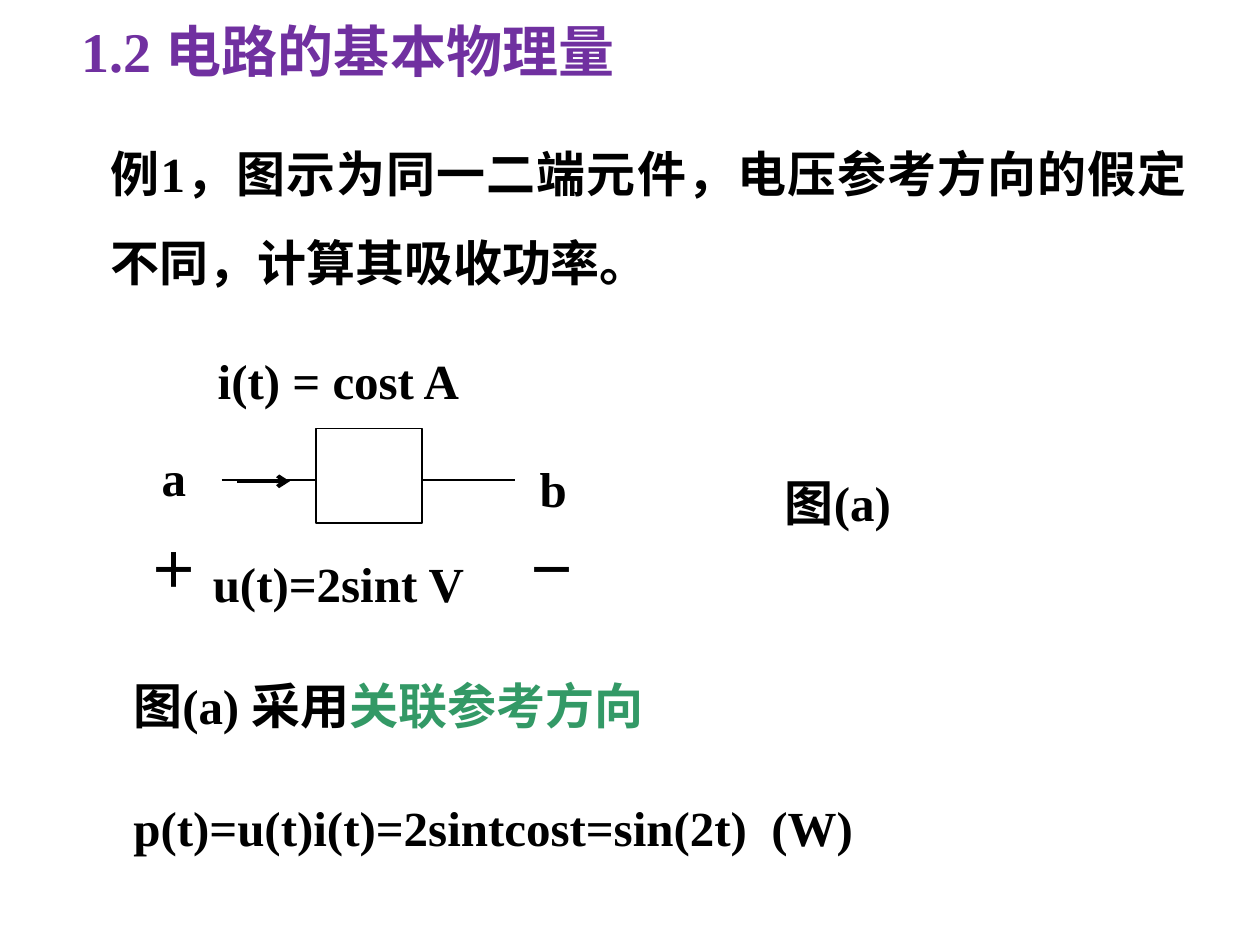
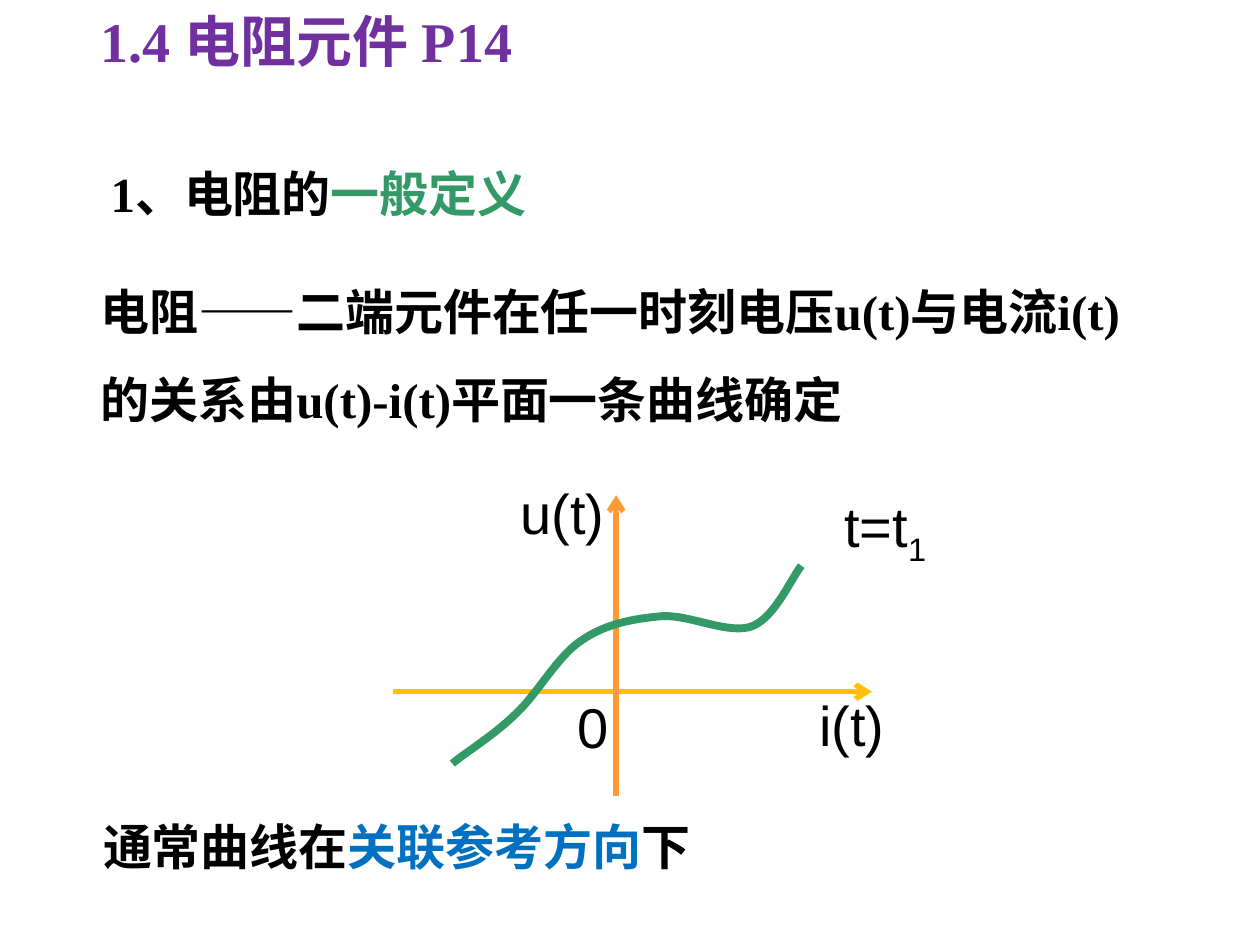
from lxml import etree
from pptx import Presentation
from pptx.dml.color import RGBColor
from pptx.enum.lang import MSO_LANGUAGE_ID
from pptx.enum.shapes import MSO_CONNECTOR, MSO_SHAPE
from pptx.enum.text import MSO_ANCHOR, MSO_AUTO_SIZE, PP_ALIGN
from pptx.oxml.ns import qn
from pptx.util import Inches, Pt

STRAIGHT = MSO_CONNECTOR.STRAIGHT
RECTANGLE = MSO_SHAPE.RECTANGLE
MIDDLE, TOP = MSO_ANCHOR.MIDDLE, MSO_ANCHOR.TOP
LEFT, CENTER, JUSTIFY = PP_ALIGN.LEFT, PP_ALIGN.CENTER, PP_ALIGN.JUSTIFY
CHINESE = MSO_LANGUAGE_ID.SIMPLIFIED_CHINESE
TITLE_ONLY = 5

COLORS = {
    "text": "000000", "title": "7030A0", "green": "339966", "blue": "0070C0",
    "current_axis": "FFC000", "voltage_axis": "FF9933",
}
SERIF, SANS = "Times New Roman", "Arial"
GRAPH_LABEL = {"size": 32, "font": SANS, "bold": False, "align": CENTER}
NO_INSETS = (0, 0)

# Text boxes: position (left, top, width, height), spans, format.
# A span is plain text or (text, {format that differs}).
EXAMPLE = {
    "title": ("1.2 电路的基本物理量", (0.55, -0.23, 7.49, 1.25)),
    "texts": [
        ((0.78, 0.86, 8.74, 1.43),
         ["例1，图示为同一二端元件，电压参考方向的假定不同，计算其吸收功率。"],
         {"align": JUSTIFY, "line_spacing": 1.5}),
        ((1.18, 3.5, 0.4, 0.57), ["a"], {"align": CENTER}),
        ((4.18, 3.59, 0.42, 0.57), ["b"], {"align": CENTER}),
        ((1.63, 2.73, 3, 0.57), ["i(t) = cost A"], {}),
        ((1.59, 4.34, 2.31, 0.57), ["u(t)=2sint V"], {}),
        ((1.09, 4.23, 0.75, 0.57), ["＋"], {}),
        ((4.09, 4.23, 0.75, 0.57), ["－"], {}),
        ((5.65, 3.75, 2, 0.47), ["图(a)"],
         {"align": CENTER, "insets": NO_INSETS}),
        ((0.96, 5.31, 6.85, 0.57),
         ["图(a) 采用", ("关联参考方向", {"color": "green"})], {}),
        ((0.96, 6.28, 6.85, 0.57),
         ["p(t)=u(t)i(t)=2sintcost=sin(2t)  (W)"], {}),
    ],
}
RESISTOR = {
    "title": ("1.4 电阻元件 P14", (0.7, -0.31, 5.98, 1.25)),
    "texts": [
        ((0.78, 1.25, 5.35, 0.57),
         ["1、电阻的", ("一般定义", {"color": "green"})], {}),
        ((0.7, 1.95, 8.51, 1.43),
         ["电阻——二端元件在任一时刻电压u(t)与电流i(t)的关系由"
          "u(t)-i(t)平面一条曲线确定"], {"line_spacing": 1.5}),
        ((0.72, 6.43, 6.5, 0.57),
         ["通常曲线在", ("关联参考方向", {"color": "blue"}), "下"], {}),
        ((3.98, 3.75, 0.97, 0.7), ["u(t)"], GRAPH_LABEL),
        ((4.44, 5.45, 0.53, 0.7), ["0"], GRAPH_LABEL),
        ((6.3, 5.43, 0.92, 0.7), ["i(t)"], GRAPH_LABEL),
        ((6.47, 3.9, 1.11, 0.59), ["t=t", ("1", {"baseline": -25000})],
         {**GRAPH_LABEL, "insets": NO_INSETS}),
    ],
}

ELEMENT_BOX = (2.51, 3.4, 0.84, 0.75)
WIRE_Y, WIRE_LEFT, WIRE_RIGHT = 3.81, 1.76, 4.09
CURRENT_ARROW = ((1.88, 3.82), (2.3, 3.82))
CURRENT_AXIS = ((3.12, 5.49), (6.92, 5.49))
VOLTAGE_AXIS = ((4.89, 6.32), (4.89, 3.93))
# Start point, then two control points and an end point for each segment.
CURVE = [
    (3.59, 6.06),
    (3.67, 5.99), (3.93, 5.83), (4.1, 5.66),
    (4.27, 5.5), (4.43, 5.2), (4.62, 5.08),
    (4.81, 4.95), (5.03, 4.91), (5.26, 4.89),
    (5.48, 4.88), (5.79, 5.04), (5.97, 4.97),
    (6.15, 4.9), (6.28, 4.59), (6.36, 4.49),
]


def inches(values):
    return [Inches(value) for value in values]


def rgb(name):
    return RGBColor.from_string(COLORS[name])


def write(frame, spans, size=28, font=SERIF, bold=True, color="text",
          align=LEFT, line_spacing=None, insets=(0.1, 0.05), anchor=TOP):
    frame.word_wrap = True
    frame.auto_size = MSO_AUTO_SIZE.NONE
    frame.vertical_anchor = anchor
    frame.margin_left = frame.margin_right = Inches(insets[0])
    frame.margin_top = frame.margin_bottom = Inches(insets[1])
    para = frame.paragraphs[0]
    para.alignment = align
    para.line_spacing = line_spacing
    for item in spans:
        text, changes = (item, {}) if isinstance(item, str) else item
        span = para.add_run()
        span.text = text
        span.font.name = font
        span.font.size = Pt(size)
        span.font.bold = bold
        span.font.language_id = CHINESE
        span.font.color.rgb = rgb(changes.get("color", color))
        if "baseline" in changes:
            span.font._element.set("baseline", str(changes["baseline"]))


def add_line(page, start, end, color="text", width=1, arrow=False):
    line = page.shapes.add_connector(STRAIGHT, *inches(start + end))
    line.line.color.rgb = rgb(color)
    line.line.width = Pt(width)
    if arrow:
        etree.SubElement(line.line._get_or_add_ln(), qn("a:tailEnd"), type="arrow")
    etree.SubElement(line._element.spPr, qn("a:effectLst"))


def add_curve(page, points, color, width):
    """Draw a chain of cubic Bezier segments."""
    start, *others = [inches(point) for point in points]
    builder = page.shapes.build_freeform(*start)
    builder.add_line_segments(others, close=False)
    curve = builder.convert_to_shape()
    outline = next(curve._element.iter(qn("a:path")))
    steps = outline.findall(qn("a:lnTo"))
    for first in range(0, len(steps), 3):
        segment = etree.SubElement(outline, qn("a:cubicBezTo"))
        for step in steps[first:first + 3]:
            segment.append(step[0])
            outline.remove(step)
    curve.fill.background()
    curve.line.color.rgb = rgb(color)
    curve.line.width = Pt(width)
    curve.shadow.inherit = False


def add_page(deck, content):
    page = deck.slides.add_slide(deck.slide_layouts[TITLE_ONLY])
    text, place = content["title"]
    title = page.shapes.title
    title.left, title.top, title.width, title.height = inches(place)
    write(title.text_frame, [text], size=32, color="title", anchor=MIDDLE)
    for place, spans, style in content["texts"]:
        box = page.shapes.add_textbox(*inches(place))
        write(box.text_frame, spans, **style)
    return page


def draw_circuit(page):
    left, _, width, _ = ELEMENT_BOX
    add_line(page, (WIRE_LEFT, WIRE_Y), (left, WIRE_Y))
    add_line(page, (left + width, WIRE_Y), (WIRE_RIGHT, WIRE_Y))
    element = page.shapes.add_shape(RECTANGLE, *inches(ELEMENT_BOX))
    element.fill.background()
    element.line.color.rgb = rgb("text")
    element.line.width = Pt(1)
    element.shadow.inherit = False
    add_line(page, *CURRENT_ARROW, width=2.25, arrow=True)


def draw_graph(page):
    add_line(page, *CURRENT_AXIS, color="current_axis", width=3, arrow=True)
    add_line(page, *VOLTAGE_AXIS, color="voltage_axis", width=3, arrow=True)
    add_curve(page, CURVE, color="green", width=4.5)


def main():
    deck = Presentation()
    deck.slide_width, deck.slide_height = Inches(10), Inches(7.5)
    draw_circuit(add_page(deck, EXAMPLE))
    draw_graph(add_page(deck, RESISTOR))
    deck.save("out.pptx")


if __name__ == "__main__":
    main()
